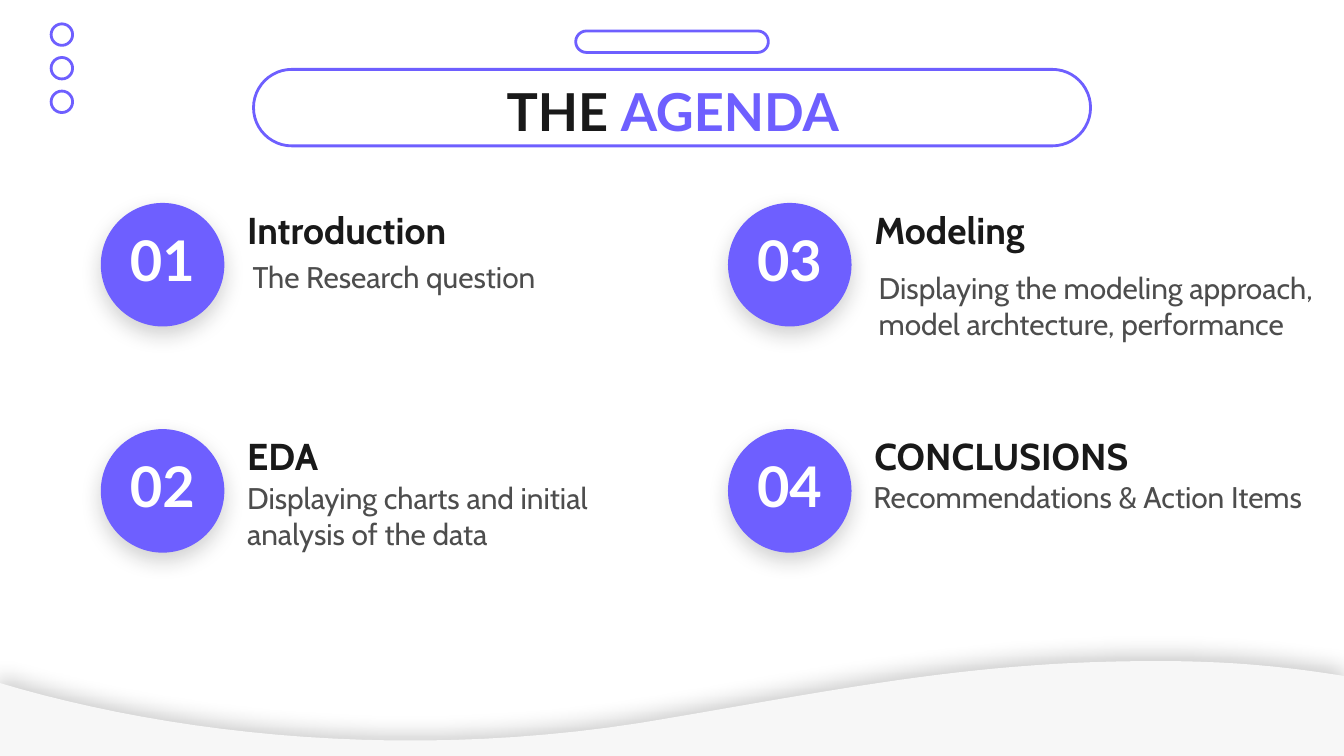
from dataclasses import dataclass

from lxml import etree
from pptx import Presentation
from pptx import util as u
from pptx.dml import color as dml
from pptx.enum import shapes, text
from pptx.oxml import ns

Pt = u.Pt
VIOLET, INK, GREY, WHITE, PALE = "6E5FFF", "191919", "4D4D4D", "FFFFFF", "F7F7F7"
OVAL, PILL = shapes.MSO_SHAPE.OVAL, shapes.MSO_SHAPE.ROUNDED_RECTANGLE
LEFT, MID = text.PP_ALIGN.LEFT, text.PP_ALIGN.CENTER


@dataclass
class Box:
    x: float
    y: float
    w: float
    h: float


@dataclass
class Font:
    name: str
    size: float
    bold: bool = True


@dataclass
class Topic:
    num: str
    head: str
    body: str
    col: int
    row: int
    area: Box


HEAD, BODY = Font("Cabin", 20), Font("Cabin", 16, False)
TITLE, NUM = Font("Lato", 28), Font("Lato", 30)

TOPICS = [
    Topic("01", "Introduction", "The Research question", 0, 0,
          Box(128.2, 133.9, 247, 28.8)),
    Topic("02", "EDA", "Displaying charts and initial analysis of the data", 0, 1,
          Box(125.3, 253.4, 219.6, 45.4)),
    Topic("03", "Modeling",
          "Displaying the modeling approach, model archtecture, performance", 1, 0,
          Box(463.7, 133.2, 247, 61.2)),
    Topic("04", "CONCLUSIONS", "Recommendations & Action Items", 1, 1,
          Box(460.8, 246.2, 281.5, 39.6)),
]

# Upper edge of the wave: joined cubic curves, right to left
CURVES = [
    [(720, 362.2), (684, 356.4), (655.2, 354.2), (619.2, 354.2)],
    [(619.2, 354.2), (525.6, 354.2), (460.8, 367.2), (360, 384.5)],
    [(360, 384.5), (223.2, 409), (92.9, 393.8), (-0.7, 365.8)],
]


def paint(hue: str) -> dml.RGBColor:
    return dml.RGBColor.from_string(hue)


def fill(shape, hue: str) -> None:
    shape.fill.solid()
    shape.fill.fore_color.rgb = paint(hue)
    shape.line.fill.background()
    shape.shadow.inherit = False


def shade(shape, hue: str, dist: float, angle: int) -> None:
    """Add a soft outer shadow of 20 % strength."""
    root = shape.element.spPr.find(ns.qn("a:effectLst"))
    glow = etree.SubElement(root, ns.qn("a:outerShdw"), blurRad=str(Pt(11.2)),
                            dist=str(Pt(dist)), dir=str(angle * 60000),
                            algn="bl", rotWithShape="0")
    tint = etree.SubElement(glow, ns.qn("a:srgbClr"), val=hue)
    etree.SubElement(tint, ns.qn("a:alpha"), val="20000")


def add(slide, kind, box: Box):
    return slide.shapes.add_shape(kind, Pt(box.x), Pt(box.y), Pt(box.w), Pt(box.h))


def ring(slide, kind, box: Box) -> None:
    shape = add(slide, kind, box)
    shape.fill.background()
    shape.line.color.rgb = paint(VIOLET)
    shape.line.width = Pt(1.5)
    shape.shadow.inherit = False
    if kind == PILL:
        shape.adjustments[0] = 0.5


def write(slide, box: Box, parts: list[tuple[str, str]], font: Font,
          align=LEFT, anchor=text.MSO_ANCHOR.MIDDLE) -> None:
    frame = slide.shapes.add_textbox(
        Pt(box.x), Pt(box.y), Pt(box.w), Pt(box.h)).text_frame
    frame.word_wrap = True
    frame.vertical_anchor = anchor
    frame.margin_left = frame.margin_right = Pt(7.2)
    frame.margin_top = frame.margin_bottom = Pt(7.2)
    para = frame.paragraphs[0]
    para.alignment = align
    para.font.name, para.font.size = font.name, Pt(font.size)
    para.font.bold = font.bold
    for words, hue in parts:
        run = para.add_run()
        run.text = words
        run.font.color.rgb = paint(hue)


def wave(slide, steps: int = 24) -> None:
    dots = [(-7.9, 407.5), (720, 407.5)]
    for a, b, c, d in CURVES:
        for i in range(steps + 1):
            t = i / steps
            s = 1 - t
            dots.append(tuple(
                s**3 * a[k] + 3 * s * s * t * b[k] + 3 * s * t * t * c[k] + t**3 * d[k]
                for k in (0, 1)))
    spots = [(Pt(x), Pt(y)) for x, y in dots]
    pen = slide.shapes.build_freeform(*spots[0])
    pen.add_line_segments(spots[1:], close=True)
    shape = pen.convert_to_shape()
    fill(shape, PALE)
    shade(shape, "000000", 3.8, 261)


def topic(slide, item: Topic) -> None:
    x, y = 54 + 336 * item.col, 108.7 + 121.2 * item.row
    disc = add(slide, OVAL, Box(x, y, 66.2, 66.2))
    fill(disc, VIOLET)
    shade(disc, INK, 4.5, 90)
    write(slide, Box(x + 4.2, y + 12.2, 57.6, 35.3), [(item.num, WHITE)], NUM, MID)
    write(slide, Box(x + 71.3, y, 206.6, 28.8), [(item.head, INK)], HEAD)
    write(slide, item.area, [(item.body, GREY)], BODY)


def main() -> None:
    deck = Presentation()
    deck.slide_width, deck.slide_height = Pt(720), Pt(405)
    slide = deck.slides.add_slide(deck.slide_layouts[6])

    # Backdrop
    wave(slide)
    for i in range(3):
        ring(slide, OVAL, Box(27.4, 12.8 + 18 * i, 11.5, 11.5))

    # Title
    ring(slide, PILL, Box(308.4, 16.6, 103.2, 11.5))
    ring(slide, PILL, Box(135.8, 37.2, 448.4, 41))
    write(slide, Box(56.9, 35.3, 607, 45.4), [("THE ", INK), ("AGENDA", VIOLET)],
          TITLE, MID, text.MSO_ANCHOR.TOP)

    # Topics
    for item in TOPICS:
        topic(slide, item)
    deck.save("out.pptx")


if __name__ == "__main__":
    main()
